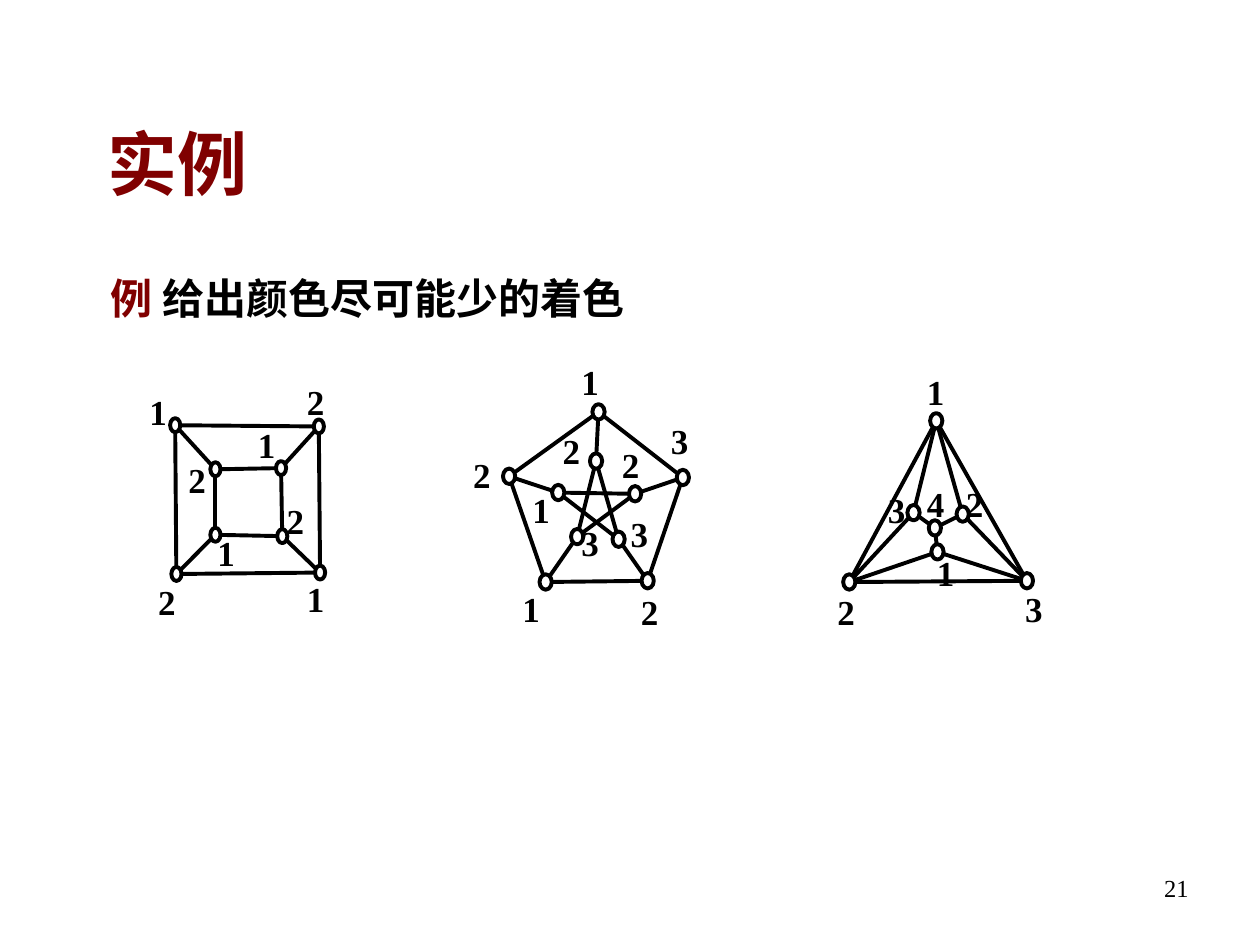
from dataclasses import dataclass
from math import hypot

from lxml import etree
from pptx import Presentation
from pptx.dml.color import RGBColor
from pptx.enum.shapes import MSO_CONNECTOR, MSO_SHAPE
from pptx.enum.text import MSO_ANCHOR, MSO_AUTO_SIZE, PP_ALIGN
from pptx.oxml.ns import qn
from pptx.util import Pt

LINE, OVAL = MSO_CONNECTOR.STRAIGHT, MSO_SHAPE.OVAL
LEFT, CENTER, RIGHT = PP_ALIGN.LEFT, PP_ALIGN.CENTER, PP_ALIGN.RIGHT
MIDDLE, TOP = MSO_ANCHOR.MIDDLE, MSO_ANCHOR.TOP
FIXED_SIZE = MSO_AUTO_SIZE.NONE


@dataclass(frozen=True)
class Theme:
    font: str = "Times New Roman"
    ink: RGBColor = RGBColor(0, 0, 0)
    accent: RGBColor = RGBColor(0x80, 0, 0)
    paper: RGBColor = RGBColor(0xFF, 0xFF, 0xFF)
    title: float = 40
    body: float = 24
    label: float = 20
    page: float = 14
    stroke: float = 2.25


@dataclass(frozen=True)
class Graph:
    """Vertices map a name to (x, y, colour number, label x, label y)."""
    vertex_size: tuple
    vertices: dict
    edges: str


THEME = Theme()
LABEL_SIZE = (34, 31.6)

CUBE = Graph(
    (5.8, 8),
    {
        "A": (100.1, 243, "1", 90.4, 235.4),
        "B": (182.2, 243.7, "2", 180.4, 229.7),
        "C": (182.9, 327.2, "1", 180.4, 342),
        "D": (100.8, 328, "2", 95.4, 344.2),
        "a": (123.1, 268.2, "2", 112.7, 274.3),
        "b": (160.6, 267.5, "1", 152.3, 254.2),
        "c": (161.3, 306.4, "2", 168.8, 297.4),
        "d": (123.1, 305.6, "1", 129.2, 316.1),
    },
    "AB BC CD DA ab bc cd da Aa Bb Cc Dd",
)
PETERSEN = Graph(
    (7, 8.8),
    {
        "A": (342, 235.4, "1", 337.3, 218.2),
        "B": (390.2, 272.9, "3", 388.4, 252),
        "C": (370.1, 331.9, "2", 371.2, 349.9),
        "D": (311.8, 332.6, "1", 303.5, 347.8),
        "E": (290.9, 272.2, "2", 275.4, 271.4),
        "a": (340.6, 263.5, "2", 326.5, 257.8),
        "b": (362.9, 282.2, "2", 360.4, 265.7),
        "c": (353.5, 308.2, "3", 365.4, 305.3),
        "d": (329.8, 306.7, "3", 337.3, 310.3),
        "e": (319, 281.5, "1", 309.2, 291.6),
    },
    "AB BC CD DE EA ac ce eb bd da Aa Bb Cc Dd Ee",
)
TRIANGLE = Graph(
    (7, 8.8),
    {
        "A": (535, 240.5, "1", 534.6, 223.9),
        "B": (586.8, 331.9, "3", 590.8, 347.8),
        "C": (485.3, 332.6, "2", 483.5, 349.9),
        "a": (535.7, 315.4, "1", 540.4, 327.6),
        "b": (522, 293, "3", 512.3, 291.6),
        "c": (550.1, 293.8, "2", 556.9, 288),
        "o": (534.2, 301.7, "4", 534.6, 288),
    },
    "AB BC CA Ab Ac Ba Bc Ca Cb oa ob oc",
)


def place(shape, left, top, width, height):
    shape.left, shape.top = Pt(left), Pt(top)
    shape.width, shape.height = Pt(width), Pt(height)


def write(shape, runs, size, align=LEFT, bold=True, anchor=TOP):
    """Fill the first paragraph with (text, colour) runs and return it."""
    frame = shape.text_frame
    frame.word_wrap = True
    frame.auto_size = FIXED_SIZE
    frame.vertical_anchor = anchor
    paragraph = frame.paragraphs[0]
    paragraph.alignment = align
    for text, colour in runs:
        run = paragraph.add_run()
        run.text = text
        run.font.name, run.font.size = THEME.font, Pt(size)
        run.font.bold = bold
        run.font.color.rgb = colour
    return paragraph


def add_text(slide, box, text, size, align, bold=True):
    textbox = slide.shapes.add_textbox(*map(Pt, box))
    write(textbox, [(text, THEME.ink)], size, align, bold)


def add_exercise(placeholder):
    """Write the task line with a hanging indent and no bullet."""
    paragraph = write(placeholder, [("例 ", THEME.accent),
                                    ("给出颜色尽可能少的着色", THEME.ink)], THEME.body)
    paragraph.space_before = Pt(6)
    properties = paragraph._p.get_or_add_pPr()
    properties.set("marL", str(Pt(27)))
    properties.set("indent", str(Pt(-27)))
    etree.SubElement(properties, qn("a:buNone"))


def add_edge(shapes, start, end, vertex_size):
    """Join two vertices, stopping at the rim of each oval."""
    dx, dy = end[0] - start[0], end[1] - start[1]
    width, height = vertex_size
    rim = 1 / hypot(2 * dx / width, 2 * dy / height)
    edge = shapes.add_connector(LINE, Pt(start[0] + rim * dx), Pt(start[1] + rim * dy),
                                Pt(end[0] - rim * dx), Pt(end[1] - rim * dy))
    edge.line.color.rgb = THEME.ink
    edge.line.width = Pt(THEME.stroke)
    etree.SubElement(edge._element.spPr, qn("a:effectLst"))


def add_vertex(shapes, x, y, vertex_size):
    width, height = vertex_size
    vertex = shapes.add_shape(OVAL, Pt(x - width / 2), Pt(y - height / 2),
                              Pt(width), Pt(height))
    vertex.shadow.inherit = False
    vertex.fill.solid()
    vertex.fill.fore_color.rgb = THEME.paper
    vertex.line.color.rgb = THEME.ink
    vertex.line.width = Pt(THEME.stroke)


def add_graph(slide, graph):
    drawing = slide.shapes.add_group_shape().shapes
    for start, end in graph.edges.split():
        add_edge(drawing, graph.vertices[start], graph.vertices[end], graph.vertex_size)
    for x, y, *_ in graph.vertices.values():
        add_vertex(drawing, x, y, graph.vertex_size)
    width, height = LABEL_SIZE
    for *_, number, x, y in graph.vertices.values():
        add_text(slide, (x - width / 2, y - height / 2, width, height),
                 number, THEME.label, CENTER)


def main():
    deck = Presentation()
    deck.slide_width, deck.slide_height = Pt(720), Pt(540)
    slide = deck.slides.add_slide(deck.slide_layouts[1])
    title, exercise = slide.placeholders
    place(title, 54, 48, 612, 90)
    write(title, [("实例", THEME.accent)], THEME.title, anchor=MIDDLE)
    place(exercise, 56, 152, 612, 50)
    add_exercise(exercise)
    for graph in (CUBE, PETERSEN, TRIANGLE):
        add_graph(slide, graph)
    add_text(slide, (536.4, 495.4, 150, 36), "21", THEME.page, RIGHT, bold=False)
    deck.save("out.pptx")


if __name__ == "__main__":
    main()
